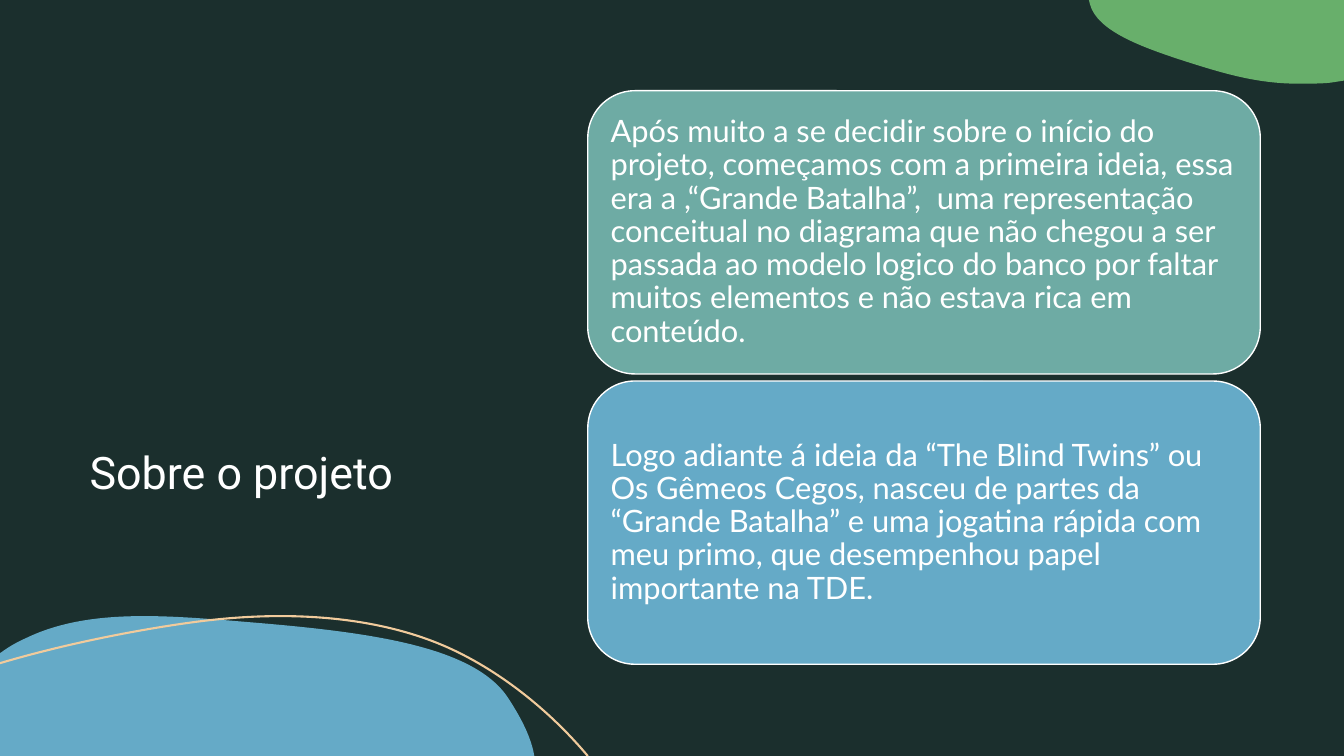
from pptx import Presentation
from pptx.dml.color import RGBColor
from pptx.enum import shapes, text
from pptx.oxml.ns import qn
from pptx.util import Inches, Pt

DARK = RGBColor(0x1B, 0x2F, 0x2D)
WHITE = RGBColor(0xFF, 0xFF, 0xFF)
GREEN = RGBColor(0x68, 0xAF, 0x6B)
BLUE = RGBColor(0x65, 0xAA, 0xC7)
TEAL = RGBColor(0x6E, 0xAB, 0xA4)
PEACH = RGBColor(0xF1, 0xCB, 0x9C)


def add_outline(slide, start, segments, closed):
    """Draw an outline; a segment is (x, y) for a line or six numbers for a cubic curve."""
    builder = slide.shapes.build_freeform(Inches(start[0]), Inches(start[1]))
    points = [pt for seg in segments for pt in zip(seg[::2], seg[1::2])]
    builder.add_line_segments([(Inches(x), Inches(y)) for x, y in points], close=closed)
    sp = builder.convert_to_shape()
    sp.shadow.inherit = False
    # Merge the three points of each curve into one cubic command
    steps = iter(list(sp._element.iter(qn("a:lnTo"))))
    for seg in segments:
        step = next(steps)
        if len(seg) == 6:
            step.tag = qn("a:cubicBezTo")
            for extra in (next(steps), next(steps)):
                step.append(extra[0])
                extra.getparent().remove(extra)
    return sp


def write_text(tf, words, font, size):
    tf.word_wrap = True
    p = tf.paragraphs[0]
    p.text = words
    p.alignment = text.PP_ALIGN.LEFT
    p.line_spacing = 0.9
    r = p.runs[0]
    r.font.name = font
    r.font.size = Pt(size)
    r.font.color.rgb = WHITE


prs = Presentation()
prs.slide_width = Inches(13.33)
prs.slide_height = Inches(7.5)
s = prs.slides.add_slide(prs.slide_layouts[6])
s.background.fill.solid()
s.background.fill.fore_color.rgb = DARK

# Backdrop
backdrop = s.shapes.add_shape(shapes.MSO_SHAPE.RECTANGLE, 0, 0,
                              prs.slide_width, prs.slide_height)
backdrop.shadow.inherit = False
backdrop.fill.solid()
backdrop.fill.fore_color.rgb = DARK
backdrop.line.fill.background()

# Title
title = s.shapes.add_textbox(Inches(0.79), Inches(2.5), Inches(3.33), Inches(2.5))
title.text_frame.vertical_anchor = text.MSO_ANCHOR.BOTTOM
write_text(title.text_frame, "Sobre o projeto", "Roboto", 32)

# Corner blobs
blobs = [
    (GREEN, (13.33, 0), [
        (10.8, 0), (10.81, 0.04),
        (10.88, 0.31, 11.33, 0.47, 11.76, 0.61),
        (12.11, 0.72, 12.48, 0.84, 12.93, 0.83),
        (13.02, 0.83, 13.11, 0.83, 13.2, 0.82),
        (13.33, 0.8)]),
    (BLUE, (5.3, 7.5), [
        (5.29, 7.45),
        (5.25, 7.28, 5.16, 7.11, 5.05, 6.94),
        (4.72, 6.41, 3.67, 6.27, 2.44, 6.17),
        (1.61, 6.1, 0.86, 6.04, 0.26, 6.33),
        (0.17, 6.37, 0.1, 6.41, 0.03, 6.46),
        (0, 6.48), (0, 7.5)]),
]
for color, start, segments in blobs:
    blob = add_outline(s, start, segments, closed=True)
    blob.fill.solid()
    blob.fill.fore_color.rgb = color
    blob.line.fill.background()

# Thin curve over the lower blob
arc = add_outline(s, (5.83, 7.5), [
    (5.47, 7.07, 5.01, 6.7, 4.54, 6.47),
    (3.83, 6.12, 2.94, 6.06, 2.11, 6.15),
    (1.73, 6.19, 0.84, 6.33, 0, 6.58)], closed=False)
arc.fill.background()
arc.line.color.rgb = PEACH
arc.line.width = Pt(1.5)

# Text cards
cards = [
    (TEAL, "Após muito a se decidir sobre o início do projeto, começamos com a primeira "
           "ideia, essa era a ,“Grande Batalha”,  uma representação conceitual no diagrama "
           "que não chegou a ser passada ao modelo logico do banco por faltar muitos "
           "elementos e não estava rica em conteúdo."),
    (BLUE, "Logo adiante á ideia da “The Blind Twins” ou Os Gêmeos Cegos, nasceu de partes "
           "da “Grande Batalha” e uma jogatina rápida com meu primo, que desempenhou papel "
           "importante na TDE."),
]
for i, (color, words) in enumerate(cards):
    card = s.shapes.add_shape(shapes.MSO_SHAPE.ROUNDED_RECTANGLE, Inches(5.83),
                              Inches(0.9 + i * 2.88), Inches(6.67), Inches(2.81))
    card.shadow.inherit = False
    card.fill.solid()
    card.fill.fore_color.rgb = color
    card.line.color.rgb = WHITE
    card.line.width = Pt(1)
    tf = card.text_frame
    tf.margin_left = tf.margin_right = tf.margin_top = tf.margin_bottom = Inches(0.09)
    tf.vertical_anchor = text.MSO_ANCHOR.MIDDLE
    write_text(tf, words, "Lato", 22)
    tf.paragraphs[0].space_after = Pt(7.7)

prs.save("out.pptx")
